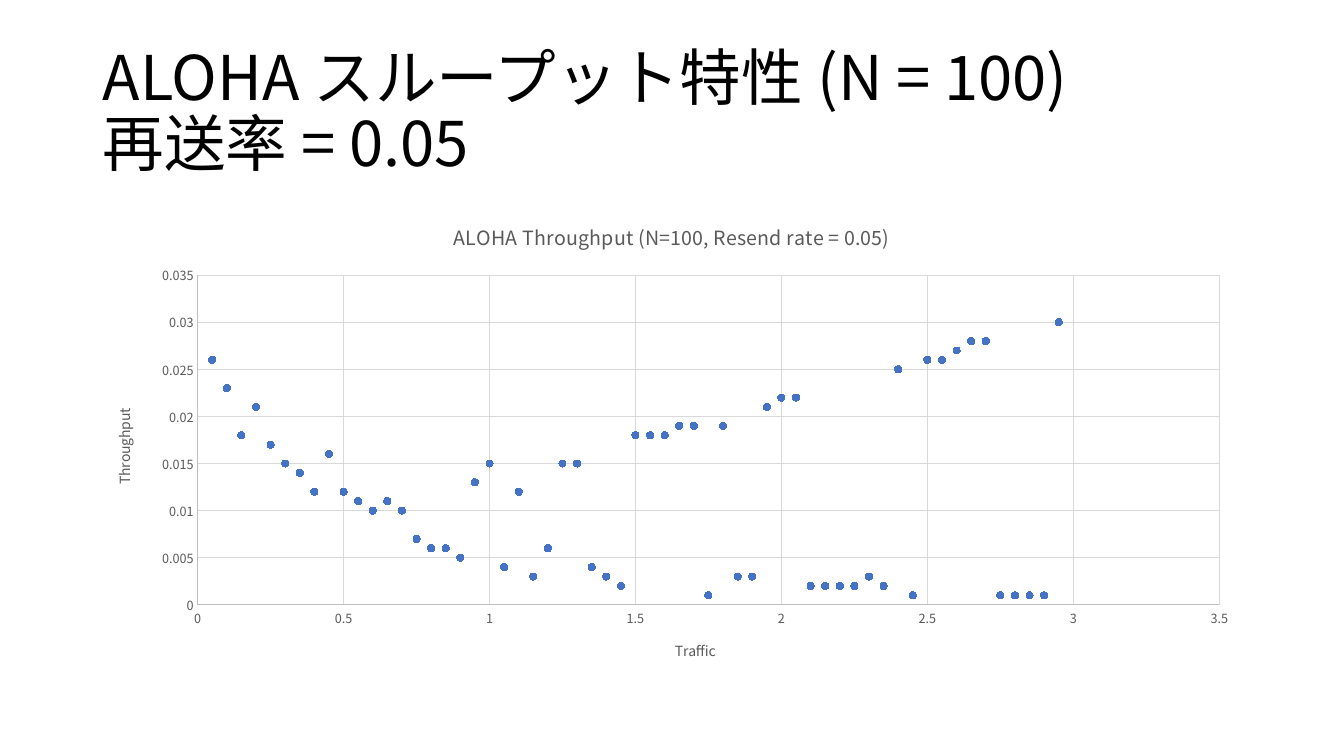
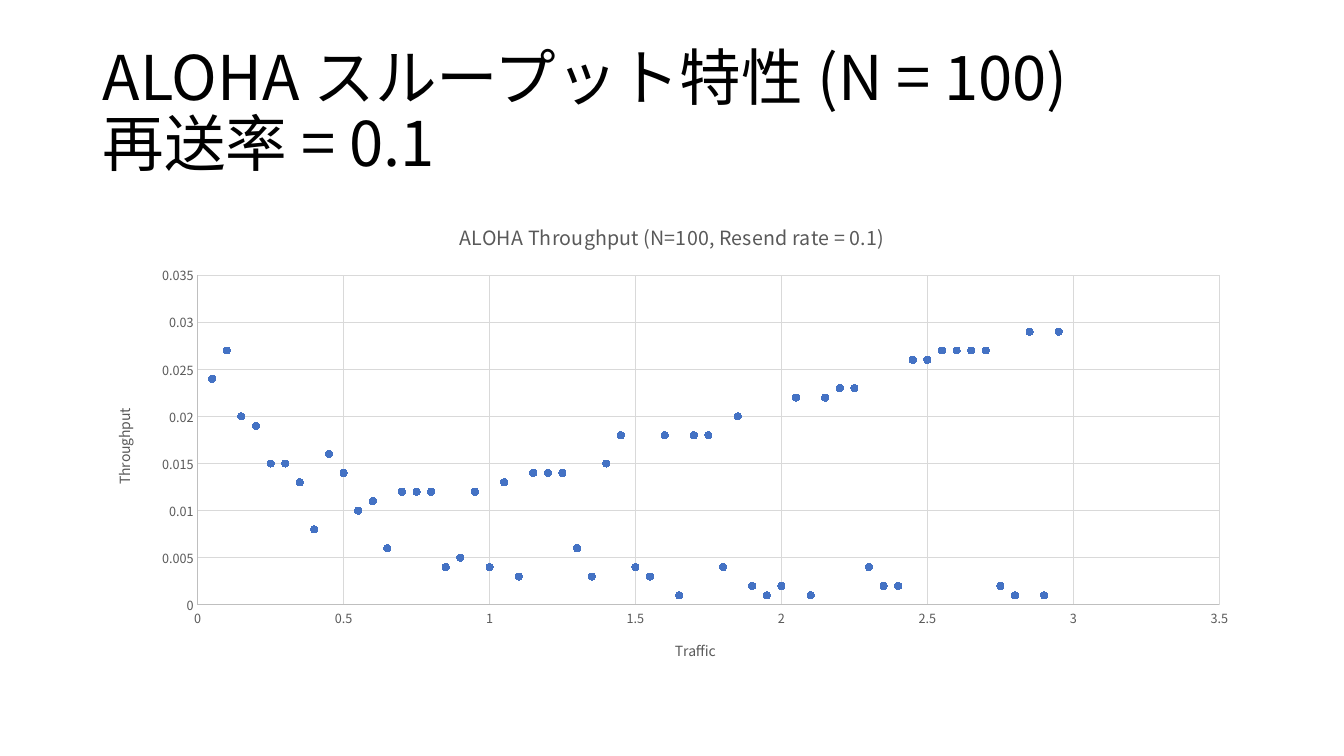
from dataclasses import dataclass

from pptx import Presentation
from pptx.chart.data import XyChartData
from pptx.dml.color import RGBColor as RGB
from pptx.enum.chart import XL_CHART_TYPE as ChartType, XL_MARKER_STYLE as Marker
from pptx.enum.chart import XL_TICK_MARK as Tick
from pptx.enum.text import MSO_ANCHOR as Anchor
from pptx.oxml.ns import qn
from pptx.util import Inches, Pt


@dataclass(frozen=True)
class Theme:
    font: str = "Noto Sans CJK JP"
    ink: str = "000000"
    muted: str = "595959"
    axis: str = "BFBFBF"
    grid: str = "D9D9D9"
    accent: str = "4472C4"
    title: int = 44
    chart_title: int = 14
    axis_title: int = 10
    ticks: int = 9
    marker: int = 5
    hairline: float = 0.75


T = Theme()
WIDTH, HEIGHT = Inches(13.33), Inches(7.5)
COLS, ROWS = 58, 750

# Boxes in grid units: column, row, columns, rows
TITLE_BOX = (4, 40, 50, 145)
CHART_BOX = (4, 200, 50, 476)

# Throughput in thousandths at traffic 0.05, 0.10, ... for each resend rate
STEP = 0.05
THROUGHPUT = {
    0.05: [
        26, 23, 18, 21, 17, 15, 14, 12, 16, 12, 11, 10, 11, 10, 7, 6, 6, 5, 13, 15,
        4, 12, 3, 6, 15, 15, 4, 3, 2, 18, 18, 18, 19, 19, 1, 19, 3, 3, 21, 22,
        22, 2, 2, 2, 2, 3, 2, 25, 1, 26, 26, 27, 28, 28, 1, 1, 1, 1, 30,
    ],
    0.1: [
        24, 27, 20, 19, 15, 15, 13, 8, 16, 14, 10, 11, 6, 12, 12, 12, 4, 5, 12, 4,
        13, 3, 14, 14, 14, 6, 3, 15, 18, 4, 3, 18, 1, 18, 18, 4, 20, 2, 1, 2,
        22, 1, 22, 23, 23, 4, 2, 2, 26, 26, 27, 27, 27, 27, 2, 1, 29, 1, 29,
    ],
}


def place(box):
    col, row, cols, rows = box
    return (WIDTH * col // COLS, HEIGHT * row // ROWS,
            WIDTH * cols // COLS, HEIGHT * rows // ROWS)


def style_font(font, size, color):
    font.name, font.size, font.bold = T.font, Pt(size), False
    font.color.rgb = RGB.from_string(color)


def write(tf, text, size, color, spacing=None):
    """Fill a text frame; a newline in the text is a line break."""
    p = tf.paragraphs[0]
    p.line_spacing = spacing
    for i, line in enumerate(text.split("\n")):
        if i:
            p.add_line_break()
        r = p.add_run()
        r.text = line
        style_font(r.font, size, color)
        # East Asian characters take the same typeface
        ea = r.font._element.makeelement(qn("a:ea"), {"typeface": T.font})
        r.font._element.find(qn("a:latin")).addnext(ea)


def style_line(line, color):
    line.color.rgb = RGB.from_string(color)
    line.width = Pt(T.hairline)


def add_title(s, box, text):
    tf = s.shapes.add_textbox(*place(box)).text_frame
    tf.word_wrap = True
    tf.vertical_anchor = Anchor.MIDDLE
    write(tf, text, T.title, T.ink, spacing=0.9)


def style_axis(axis, title, top, step, turn=0):
    axis.minimum_scale, axis.maximum_scale, axis.major_unit = 0, top, step
    axis.major_tick_mark = axis.minor_tick_mark = Tick.NONE
    axis.has_major_gridlines = True
    style_line(axis.major_gridlines.format.line, T.grid)
    style_line(axis.format.line, T.axis)
    style_font(axis.tick_labels.font, T.ticks, T.muted)
    axis.tick_labels.number_format = "General"
    axis.tick_labels.number_format_is_linked = False
    tf = axis.axis_title.text_frame
    write(tf, title, T.axis_title, T.muted)
    tf._txBody.bodyPr.set("rot", str(turn * 60000))


def add_scatter(s, box, title, thousandths):
    data = XyChartData()
    points = data.add_series("Series 1")
    for i, value in enumerate(thousandths, 1):
        points.add_data_point(round(i * STEP, 2), value / 1000)
    chart = s.shapes.add_chart(ChartType.XY_SCATTER, *place(box), data).chart
    style_font(chart.font, T.axis_title, T.ink)
    chart.has_legend = False
    write(chart.chart_title.text_frame, title, T.chart_title, T.muted)
    chart.chart_title.include_in_layout = False

    # Axes
    style_axis(chart.category_axis, "Traffic", 3.5, 0.5)
    style_axis(chart.value_axis, "Throughput", 0.035, 0.005, turn=-90)

    # Points without a joining line
    plot = chart.plots[0]
    plot.vary_by_categories = False
    series = plot.series[0]
    series.format.line.fill.background()
    marker = series.marker
    marker.style, marker.size = Marker.CIRCLE, T.marker
    marker.format.fill.solid()
    marker.format.fill.fore_color.rgb = RGB.from_string(T.accent)
    style_line(marker.format.line, T.accent)


def throughput_slide(prs, rate, thousandths):
    s = prs.slides.add_slide(prs.slide_layouts[6])
    add_title(s, TITLE_BOX, f"ALOHA スループット特性 (N = 100)\n再送率 = {rate}")
    add_scatter(s, CHART_BOX, f"ALOHA Throughput (N=100, Resend rate = {rate})", thousandths)


def main():
    prs = Presentation()
    prs.slide_width, prs.slide_height = WIDTH, HEIGHT
    for rate, thousandths in THROUGHPUT.items():
        throughput_slide(prs, rate, thousandths)
    prs.save("out.pptx")


if __name__ == "__main__":
    main()
